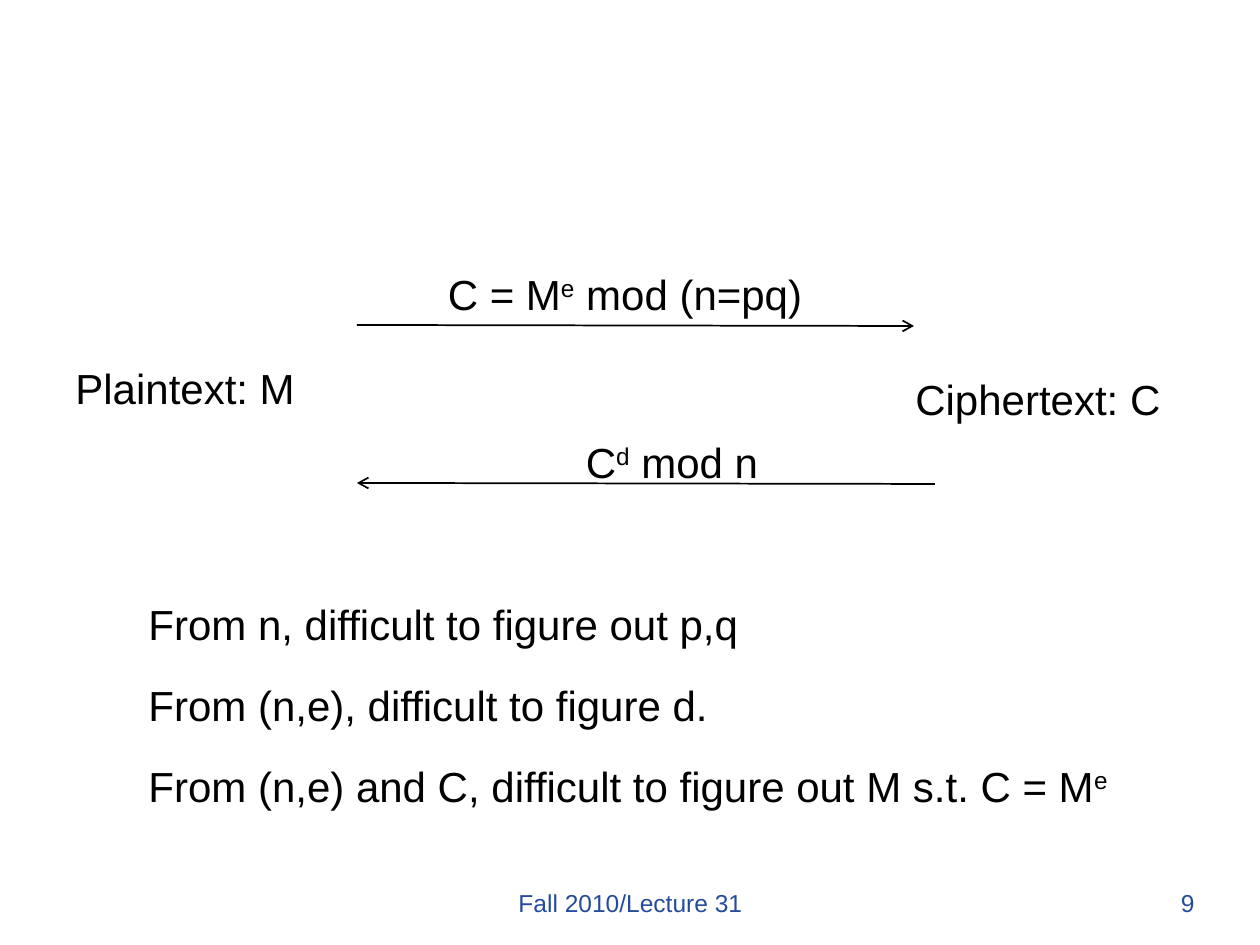
from dataclasses import dataclass

from lxml.etree import SubElement
from pptx import Presentation
from pptx.dml.color import RGBColor
from pptx.enum.shapes import MSO_CONNECTOR as Connector
from pptx.enum.text import MSO_ANCHOR as Anchor, PP_ALIGN as Align
from pptx.oxml.ns import qn
from pptx.slide import Slide
from pptx.util import Pt

EMU_PER_PX = 914400 / 126
COLORS = {"ink": "000000", "footer": "254C9C"}
FONT = "Arial"
SUPERSCRIPT = "^"  # marks off raised text: M^e^


@dataclass
class Label:
    box: tuple[int, int, int, int]
    lines: list[str]
    align: Align = Align.LEFT
    size: int = 24
    color: str = "ink"
    line_spacing: float = 1.4


@dataclass
class Arrow:
    start: tuple[int, int]
    end: tuple[int, int]


LABELS = [
    # Footer and slide number
    Label((431, 882, 399, 63), ["Fall 2010/Lecture 31"], Align.CENTER, 14, "footer", 1.0),
    Label((945, 882, 262, 63), ["9"], Align.RIGHT, 14, "footer", 1.0),
    # The two ends of the exchange
    Label((63, 336, 273, 83), ["Plaintext: M"]),
    Label((903, 347, 315, 83), ["Ciphertext: C"]),
    # Encryption and decryption formulas
    Label((368, 242, 514, 83), ["C = M^e^ mod (n=pq)"], Align.CENTER),
    Label((441, 410, 462, 83), ["C^d^ mod n"], Align.CENTER),
    # Hardness assumptions
    Label((136, 572, 1029, 246), [
        "From n, difficult to figure out p,q",
        "From (n,e), difficult to figure d.",
        "From (n,e) and C, difficult to figure out M s.t. C = M^e^",
    ]),
]

ARROWS = [
    Arrow((357, 325), (914, 326)),
    Arrow((935, 484), (357, 483)),
]


def px(value: int) -> int:
    return round(value * EMU_PER_PX)


def add_label(slide: Slide, label: Label) -> None:
    frame = slide.shapes.add_textbox(*map(px, label.box)).text_frame
    frame.word_wrap = True
    frame.vertical_anchor = Anchor.TOP
    for index, line in enumerate(label.lines):
        paragraph = frame.add_paragraph() if index else frame.paragraphs[0]
        paragraph.alignment = label.align
        paragraph.line_spacing = label.line_spacing
        if index:
            paragraph.space_before = Pt(6)
        paragraph.font.name = FONT
        paragraph.font.size = Pt(label.size)
        paragraph.font.color.rgb = RGBColor.from_string(COLORS[label.color])
        for part, text in enumerate(line.split(SUPERSCRIPT)):
            if not text:
                continue
            run = paragraph.add_run()
            run.text = text
            if part % 2:
                run.font._element.set("baseline", "30000")


def add_arrow(slide: Slide, arrow: Arrow) -> None:
    connector = slide.shapes.add_connector(
        Connector.STRAIGHT, *map(px, arrow.start + arrow.end))
    connector.line.color.rgb = RGBColor.from_string(COLORS["ink"])
    connector.line.width = Pt(1)
    SubElement(connector.line._get_or_add_ln(), qn("a:tailEnd"), type="arrow")
    SubElement(connector._element.spPr, qn("a:effectLst"))


def main() -> None:
    presentation = Presentation()
    presentation.slide_width = px(1260)
    presentation.slide_height = px(945)
    slide = presentation.slides.add_slide(presentation.slide_layouts[6])
    for arrow in ARROWS:
        add_arrow(slide, arrow)
    for label in LABELS:
        add_label(slide, label)
    presentation.save("out.pptx")


if __name__ == "__main__":
    main()
